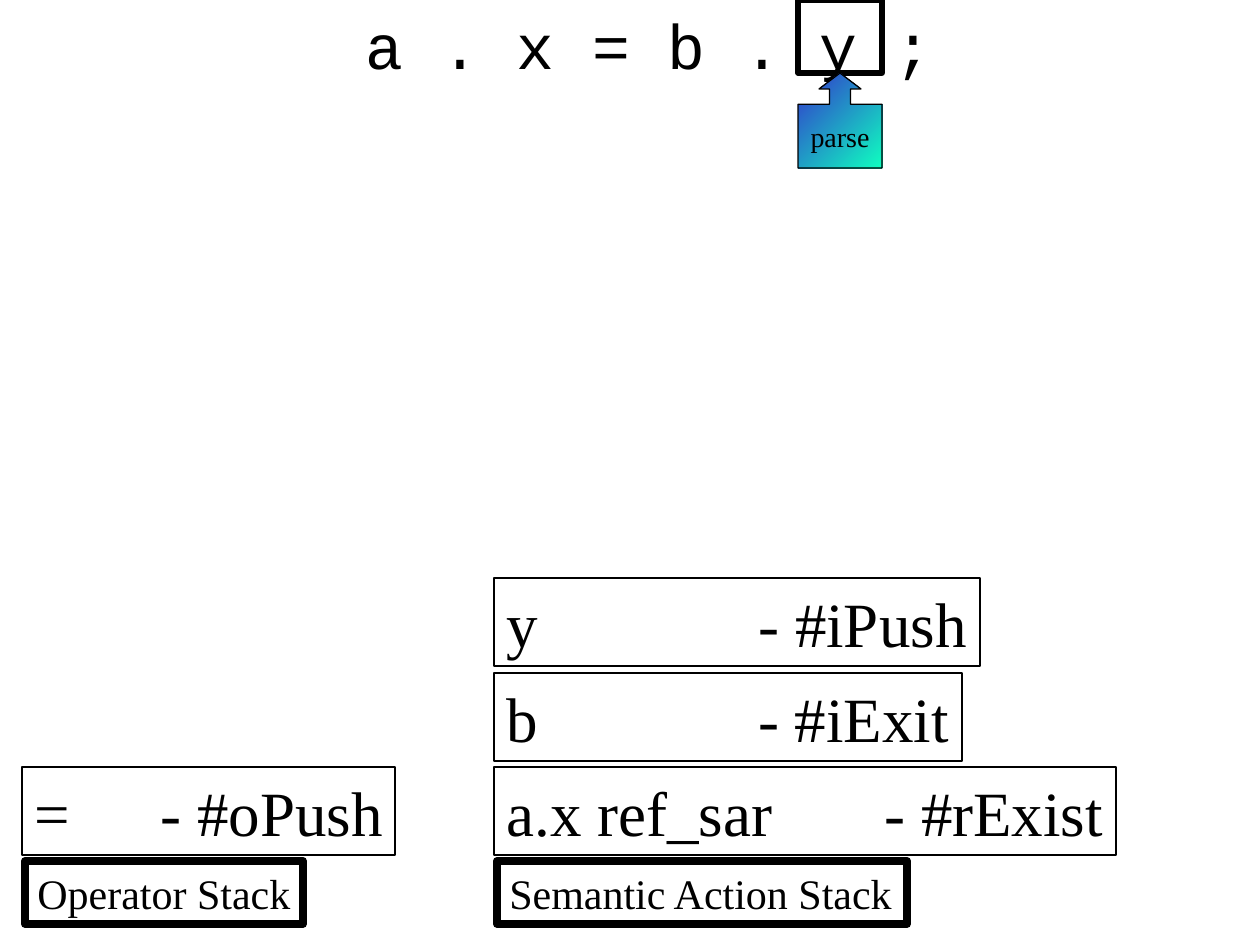
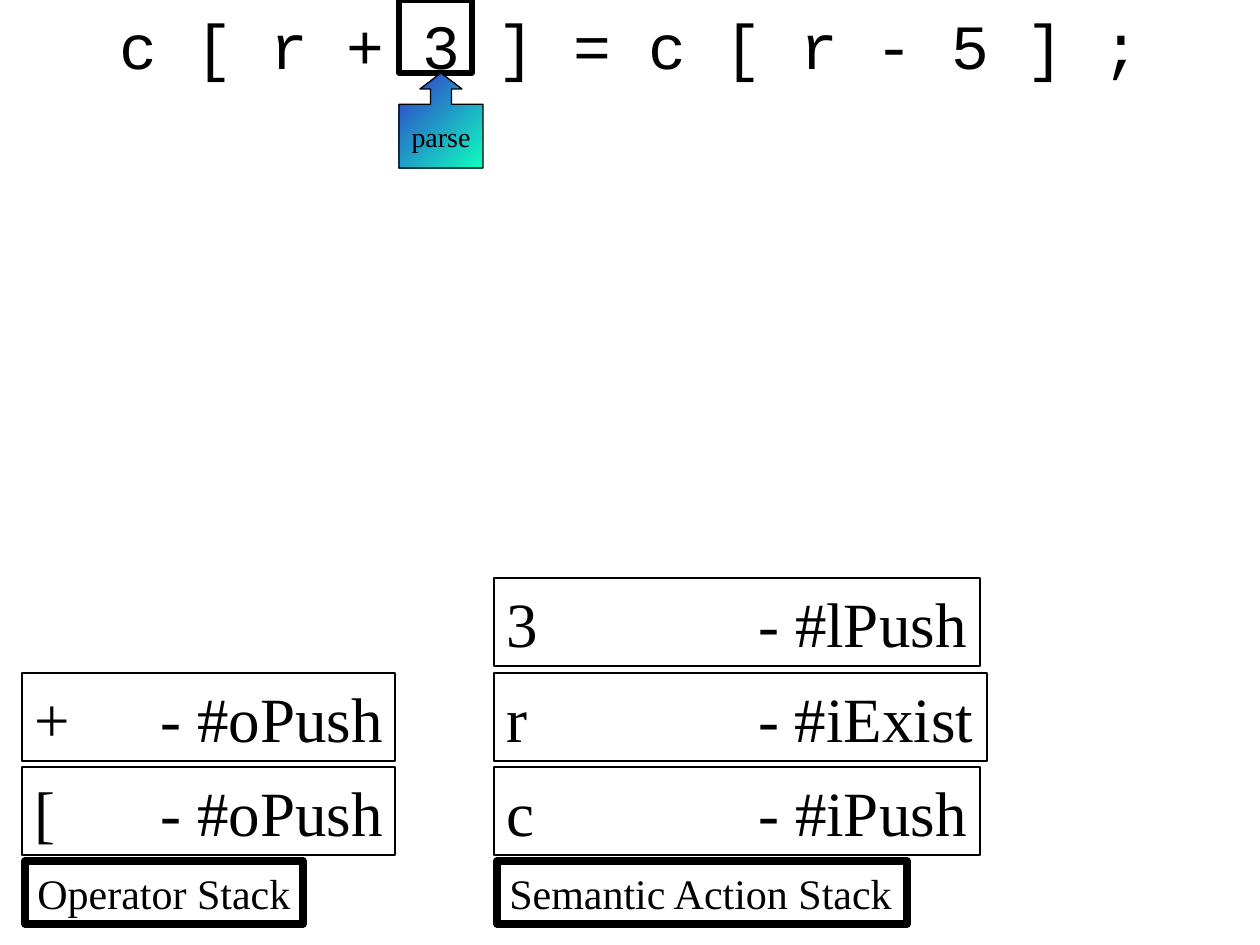
from lxml import etree
from pptx import Presentation
from pptx.dml.color import RGBColor
from pptx.enum.shapes import MSO_SHAPE
from pptx.enum.text import MSO_ANCHOR, MSO_AUTO_SIZE, PP_ALIGN
from pptx.oxml.ns import qn
from pptx.util import Emu, Pt

RECTANGLE, CALLOUT = MSO_SHAPE.RECTANGLE, MSO_SHAPE.UP_ARROW_CALLOUT
LEFT, CENTER = PP_ALIGN.LEFT, PP_ALIGN.CENTER
TOP, MIDDLE = MSO_ANCHOR.TOP, MSO_ANCHOR.MIDDLE
FIT_SHAPE, NO_FIT = MSO_AUTO_SIZE.SHAPE_TO_FIT_TEXT, MSO_AUTO_SIZE.NONE

PX_PER_INCH = 126
COLORS = {"ink": "000000", "gradient_start": "3333CC", "gradient_end": "0FFFC0"}
CODE_FONT, TEXT_FONT = "Courier New", "Times New Roman"

# Left edges of the two stacks, and the rows that grow upwards from the labels
OPERATOR_LEFT, SEMANTIC_LEFT = 22, 494
BOTTOM_ENTRY_TOP, ENTRY_HEIGHT = 767, 88
TWO_ROWS = 189
TOKEN_HEIGHT = 73

# Each stack entry, bottom first: symbol, action, box width, tab stop in inches
SLIDES = [
    {
        "expression": "a . x = b . y ;",
        "expression_left": 38,
        "token": (798, 84),
        "operators": [("=", "- #oPush", 373, 1)],
        "semantics": [
            ("a.x ref_sar", "- #rExist", 622, 3),
            ("b", "- #iExit", 468, 2),
            ("y", "- #iPush", 486, 2),
        ],
    },
    {
        "expression": "c [ r + 3 ] = c [ r - 5 ] ;",
        "expression_left": 0,
        "token": (399, 73),
        "operators": [("[", "- #oPush", 373, 1), ("+", "- #oPush", 373, 1)],
        "semantics": [
            ("c", "- #iPush", 486, 2),
            ("r", "- #iExist", 493, 2),
            ("3", "- #lPush", 486, 2),
        ],
    },
]


def px(length):
    return Emu(round(length * 914400 / PX_PER_INCH))


def color(name):
    return RGBColor.from_string(COLORS[name])


def style_paragraph(para, font_name, size, align):
    para.alignment = align
    para.font.name = font_name
    para.font.size = Pt(size)
    para.font.color.rgb = color("ink")


def add_outline(slide, kind, left, top, width, height, line_width):
    box = slide.shapes.add_shape(kind, px(left), px(top), px(width), px(height))
    box.shadow.inherit = False
    box.fill.background()
    box.line.color.rgb = color("ink")
    box.line.width = Pt(line_width)
    return box


def write_text(box, text, size, align=LEFT, anchor=TOP, fit=FIT_SHAPE, tab_inches=None):
    frame = box.text_frame
    frame.word_wrap = False
    frame.auto_size = fit
    frame.vertical_anchor = anchor
    para = frame.paragraphs[0]
    para.text = text
    if tab_inches:
        # A wrapping frame without right inset keeps the tabbed line whole
        frame.word_wrap = True
        frame.margin_right = px(0)
        tabs = etree.SubElement(para._p.get_or_add_pPr(), qn("a:tabLst"))
        stop = px(tab_inches * PX_PER_INCH)
        etree.SubElement(tabs, qn("a:tab"), pos=str(stop), algn="l")
    style_paragraph(para, TEXT_FONT, size, align)


def add_expression(slide, text, left):
    title = slide.shapes.title
    title.left, title.top = px(left), px(0)
    title.width, title.height = px(1260 - left), px(ENTRY_HEIGHT)
    frame = title.text_frame
    frame.word_wrap = True
    frame.auto_size = NO_FIT
    frame.vertical_anchor = TOP
    frame.text = text
    style_paragraph(frame.paragraphs[0], CODE_FONT, 36, CENTER)


def add_stack_label(slide, text, left, width):
    label = add_outline(slide, RECTANGLE, left, 861, width, 63, 4.5)
    write_text(label, text, 24)


def add_stack(slide, entries, left):
    for level, (symbol, action, width, tab_inches) in enumerate(entries):
        top = BOTTOM_ENTRY_TOP - level * TWO_ROWS // 2
        entry = add_outline(slide, RECTANGLE, left, top, width, ENTRY_HEIGHT, 1)
        write_text(entry, f"{symbol}\t{action}", 36, tab_inches=tab_inches)


def add_parse_marker(slide, left, token_width):
    add_outline(slide, RECTANGLE, left, 0, token_width, TOKEN_HEIGHT, 3)
    callout = add_outline(slide, CALLOUT, left, TOKEN_HEIGHT, 84, 95, 0.75)
    for index, value in enumerate((0.25, 0.25, 0.19, 0.67)):
        callout.adjustments[index] = value
    callout.fill.gradient()
    callout.fill.gradient_angle = 315
    for stop, name in zip(callout.fill.gradient_stops, ("gradient_start", "gradient_end")):
        stop.color.rgb = color(name)
    write_text(callout, "parse", 16, CENTER, MIDDLE, NO_FIT)


def main():
    deck = Presentation()
    deck.slide_width, deck.slide_height = px(1260), px(945)
    title_only = deck.slide_layouts[5]
    for content in SLIDES:
        slide = deck.slides.add_slide(title_only)
        add_expression(slide, content["expression"], content["expression_left"])
        add_stack_label(slide, "Operator Stack", 25, 278)
        add_stack_label(slide, "Semantic Action Stack", 497, 410)
        add_stack(slide, content["operators"], OPERATOR_LEFT)
        add_stack(slide, content["semantics"], SEMANTIC_LEFT)
        add_parse_marker(slide, *content["token"])
    deck.save("out.pptx")


if __name__ == "__main__":
    main()
